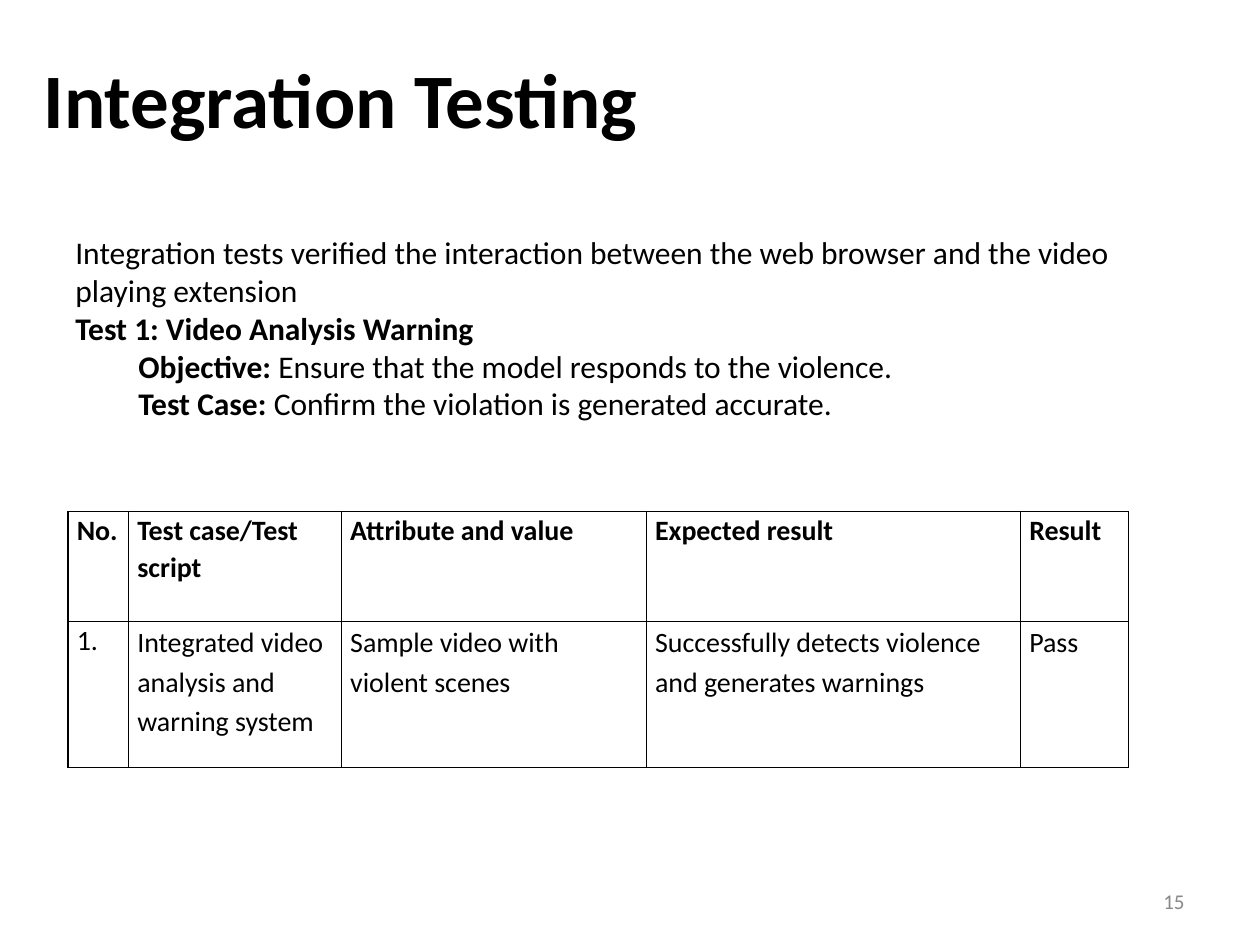
import pptx
import pptx.util
import pptx.dml.color
import pptx.enum.text
import pptx.oxml
import pptx.oxml.ns
from pptx.util import Inches

COLORS = {"text": "000000", "number": "888888", "border": "000000"}
ANCHOR = pptx.enum.text.MSO_ANCHOR
ALIGN = pptx.enum.text.PP_ALIGN


def add_text(p, text, size=18, bold=False, color="text"):
    """Add a formatted run to a paragraph."""
    r = p.add_run()
    r.text = text
    r.font.name = "Calibri"
    r.font.size = pptx.util.Pt(size)
    r.font.bold = bold
    r.font.color.rgb = pptx.dml.color.RGBColor.from_string(COLORS[color])


def add_box(s, box, inset_y=0.1, anchor=ANCHOR.TOP):
    """Add a wrapping text box and return its text frame."""
    tf = s.shapes.add_textbox(*(Inches(v) for v in box)).text_frame
    tf.word_wrap = True
    tf.vertical_anchor = anchor
    tf.margin_left = tf.margin_right = Inches(0.1)
    tf.margin_top = tf.margin_bottom = Inches(inset_y)
    return tf


def add_title(s, box, text):
    """Place the slide title."""
    tf = add_box(s, box, anchor=ANCHOR.MIDDLE)
    add_text(tf.paragraphs[0], text, size=44, bold=True)


def add_body(s, box, items):
    """Place paragraphs given as an indent and a list of (text, bold) runs."""
    tf = add_box(s, box)
    for i, (indent, runs) in enumerate(items):
        p = tf.add_paragraph() if i else tf.paragraphs[0]
        if indent:
            p._p.get_or_add_pPr().set("marL", str(Inches(indent)))
        for text, bold in runs:
            add_text(p, text, bold=bold)


def add_number(s, box, text):
    """Place the slide number."""
    p = add_box(s, box, inset_y=0.05, anchor=ANCHOR.MIDDLE).paragraphs[0]
    p.alignment = ALIGN.RIGHT
    add_text(p, text, size=12, color="number")


def set_borders(cell):
    """Draw thin lines on all four sides of a cell."""
    tcPr = cell._tc.get_or_add_tcPr()
    for i, side in enumerate(("lnL", "lnR", "lnT", "lnB")):
        tcPr.insert(i, pptx.oxml.parse_xml(
            f'<a:{side} {pptx.oxml.ns.nsdecls("a")} w="{pptx.util.Pt(0.75)}">'
            f'<a:solidFill><a:srgbClr val="{COLORS["border"]}"/></a:solidFill></a:{side}>'))


def add_test_table(s, box, cols, heights, rows):
    """Place the table of test cases."""
    table = s.shapes.add_table(len(rows), len(cols), *(Inches(v) for v in box)).table
    table.first_row = table.horz_banding = False
    for col, width in zip(table.columns, cols):
        col.width = Inches(width)
    for i, (values, height) in enumerate(zip(rows, heights)):
        table.rows[i].height = Inches(height)
        for j, text in enumerate(values):
            cell = table.cell(i, j)
            cell.fill.background()
            cell.margin_left = cell.margin_right = Inches(0.07)
            cell.margin_top = cell.margin_bottom = 0
            p = cell.text_frame.paragraphs[0]
            p.line_spacing = 1.15 if i and j else 1.07
            add_text(p, text, size=16, bold=i == 0)
            set_borders(cell)


def main():
    """Build and save the slide."""
    prs = pptx.Presentation()
    prs.slide_width, prs.slide_height = Inches(10), Inches(7.5)
    s = prs.slides.add_slide(prs.slide_layouts[6])
    add_title(s, (0.25, 0.15, 9, 1.25), "Integration Testing")
    add_body(s, (0.5, 1.75, 9, 4.95), [
        (0, [("Integration tests verified the interaction between the web browser "
              "and the video playing extension", False)]),
        (0, [("Test 1: Video Analysis Warning", True)]),
        (0.5, [("Objective:", True),
               (" Ensure that the model responds to the violence.", False)]),
        (0.5, [("Test Case:", True),
               (" Confirm the violation is generated accurate.", False)]),
    ])
    add_number(s, (7.17, 6.95, 2.33, 0.4), "15")
    add_test_table(s, (0.54, 4.06, 8.42, 2.03), (0.48, 1.69, 2.42, 2.97, 0.86), (0.87, 1.16), [
        ("No.", "Test case/Test script", "Attribute and value", "Expected result", "Result"),
        ("1.", "Integrated video analysis and warning system",
         "Sample video with violent scenes",
         "Successfully detects violence and generates warnings", "Pass"),
    ])
    prs.save("out.pptx")


if __name__ == "__main__":
    main()
